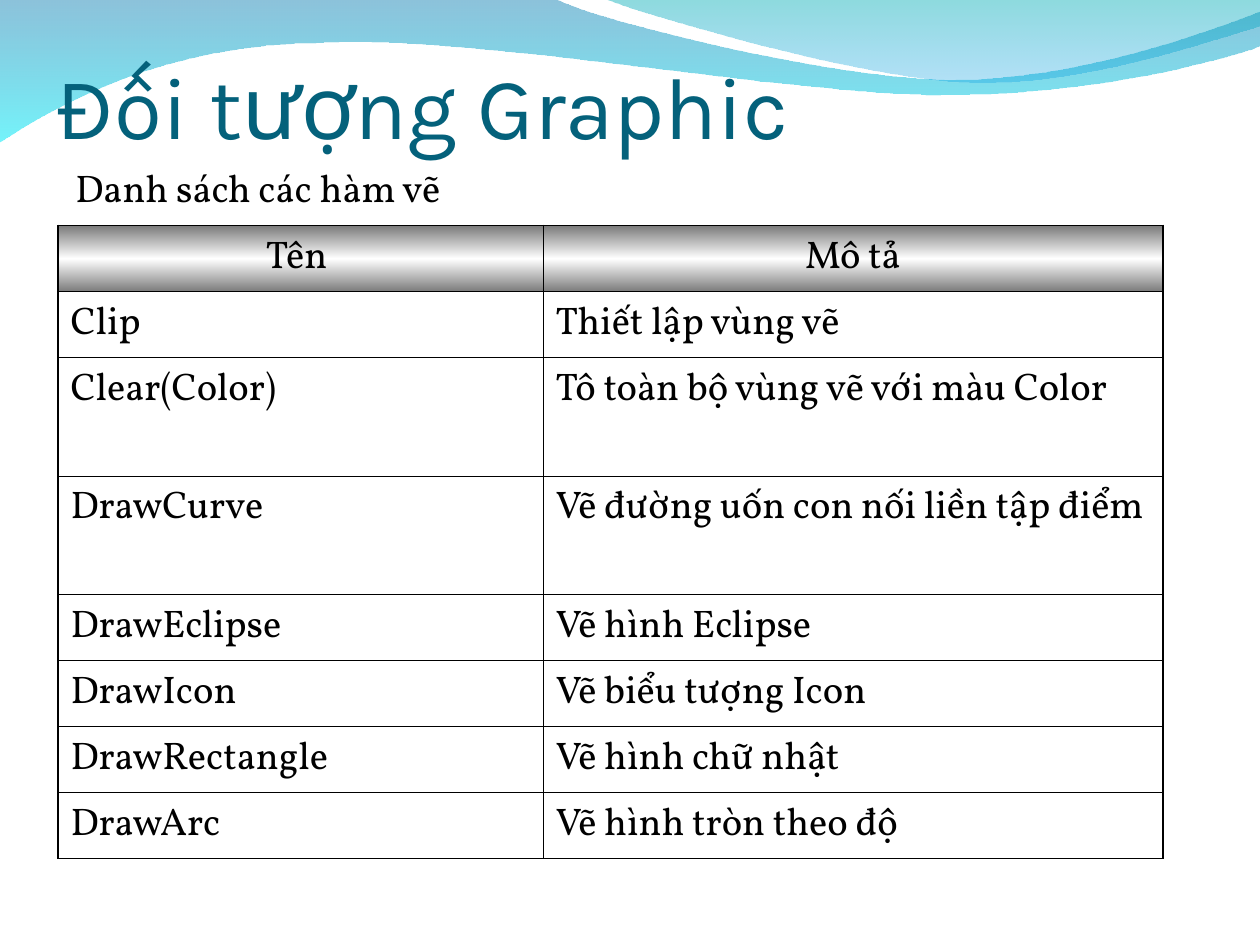
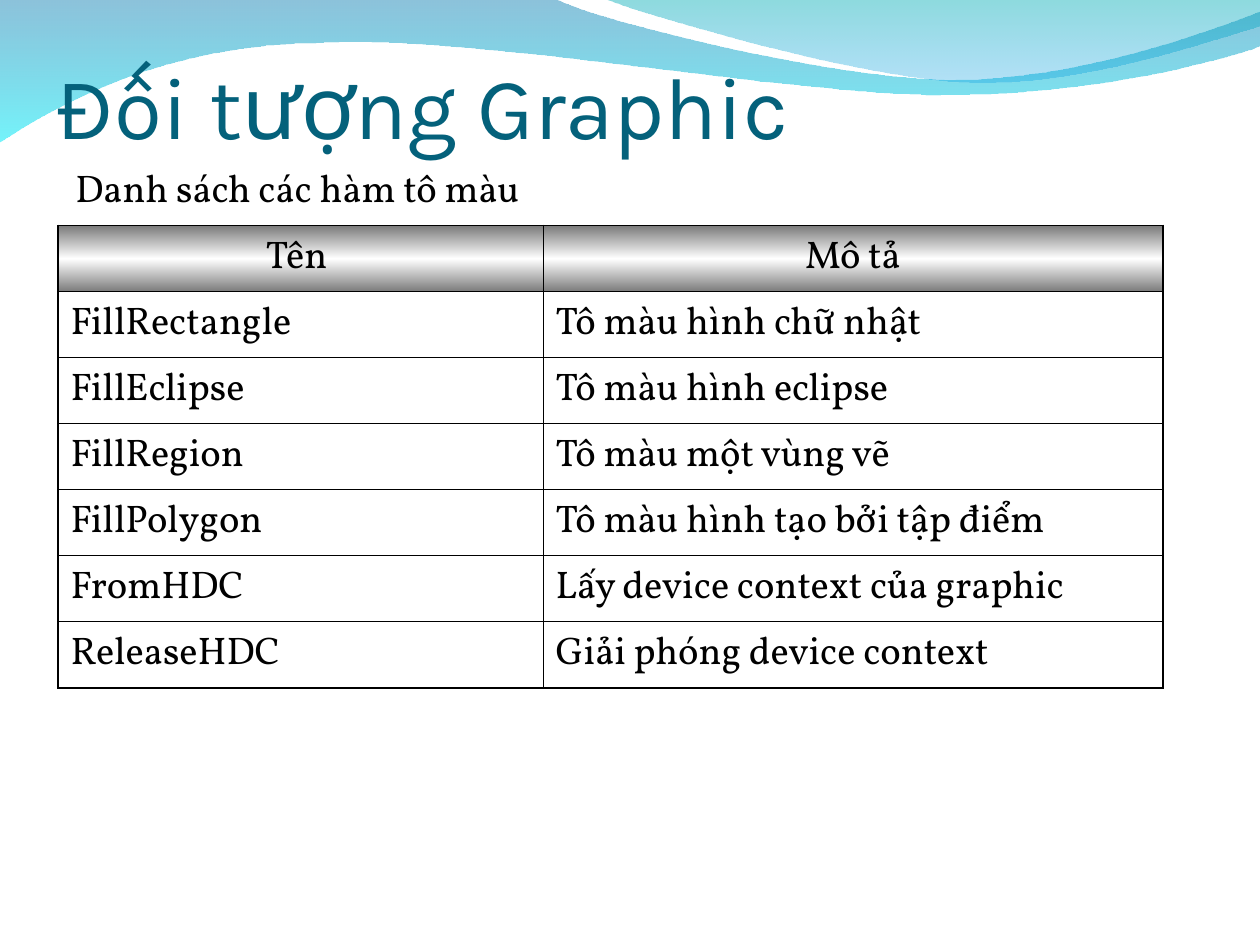
from lxml import etree
from pptx import Presentation
from pptx.dml.color import RGBColor
from pptx.enum.text import MSO_ANCHOR, MSO_AUTO_SIZE, PP_ALIGN
from pptx.oxml.ns import qn
from pptx.util import Inches, Pt

LEFT, CENTER = PP_ALIGN.LEFT, PP_ALIGN.CENTER
TOP, BOTTOM = MSO_ANCHOR.TOP, MSO_ANCHOR.BOTTOM
NO_FIT = MSO_AUTO_SIZE.NONE

TITLE = "Đối tượng Graphic"
HEADER = ("Tên ", "Mô tả")
SLIDES = [
    ("Danh sách các hàm vẽ", [
        ("Clip", "Thiết lập vùng vẽ"),
        ("Clear(Color)", "Tô toàn bộ vùng vẽ với màu Color"),
        ("DrawCurve", "Vẽ đường uốn con nối liền tập điểm"),
        ("DrawEclipse", "Vẽ hình Eclipse"),
        ("DrawIcon", "Vẽ biểu tượng Icon"),
        ("DrawRectangle", "Vẽ hình chữ nhật"),
        ("DrawArc", "Vẽ hình tròn theo độ"),
    ]),
    ("Danh sách các hàm tô màu", [
        ("FillRectangle", "Tô màu hình chữ nhật"),
        ("FillEclipse", "Tô màu hình eclipse"),
        ("FillRegion", "Tô màu một vùng vẽ"),
        ("FillPolygon", "Tô màu hình tạo bởi tập điểm"),
        ("FromHDC", "Lấy device context của graphic"),
        ("ReleaseHDC", "Giải phóng device context"),
    ]),
]
TALL_ROWS = {"Clear(Color)", "DrawCurve"}
ROW_HEIGHT, TALL_HEIGHT = 3.67 / 7, 0.94  # seven plain rows fill 3.67 inches
COLUMN_WIDTHS = (3.85, 4.92)
THIN, THICK = 0.45, 1.08

COLORS = {
    "title": "04617B", "text": "000000", "border": "000000",
    "header_edge": "7B7B7B", "header_middle": "FFFFFF",
    "wave_blue": "0079AF", "wave_cyan": "00EBF8",
    "crest_teal": "00ADB6", "crest_blue": "009BE5",
}
TITLE_FONT, BODY_FONT = "Karla", "Vollkorn"

# Gradient stops: position %, colour, opacity %
HEADER_STOPS = [(0, "header_edge", 100), (50, "header_middle", 100), (100, "header_edge", 100)]
# Each segment is a line (one point) or a cubic curve (three points)
WAVES = [
    ([(0, "wave_blue", 45), (100, "wave_cyan", 55)], (0, -0.01), [
        [(4.4, -0.01)],
        [(4.76, 0.17), (6.64, 0.63), (7.58, 0.63)],
        [(8.53, 0.63), (9.58, 0.26), (10, 0.09)],
        [(10.01, 0.36)],
        [(9.83, 0.44), (8.7, 0.76), (7.46, 0.75)],
        [(6.22, 0.75), (3.82, 0.28), (2.57, 0.34)],
        [(1.29, 0.35), (0.46, 0.83), (-0.01, 1.13)],
    ]),
    ([(0, "crest_teal", 45), (100, "crest_blue", 30)], (4.79, -0.01), [
        [(5.09, 0.11), (6.82, 0.62), (7.69, 0.65)],
        [(8.56, 0.69), (9.61, 0.32), (10, 0.21)],
        [(10, 0)],
    ]),
]


def fill_gradient(fill, element, stops):
    """Give a shape or cell a top-to-bottom gradient."""
    fill.gradient()
    fill.gradient_angle = 270
    stop_list = element.find(".//" + qn("a:gsLst"))
    for old_stop in list(stop_list):
        stop_list.remove(old_stop)
    for position, color, opacity in stops:
        stop = etree.SubElement(stop_list, qn("a:gs"), pos=str(position * 1000))
        value = etree.SubElement(stop, qn("a:srgbClr"), val=COLORS[color])
        if opacity < 100:
            etree.SubElement(value, qn("a:alpha"), val=str(opacity * 1000))


def bend_segments(wave, segments):
    """Turn each run of three line points into one cubic curve."""
    lines = iter(wave.element.findall(".//" + qn("a:lnTo")))
    for segment in segments:
        parts = [next(lines) for _ in segment]
        if len(parts) == 3:
            curve = etree.Element(qn("a:cubicBezTo"))
            parts[0].addprevious(curve)
            for part in parts:
                curve.append(part[0])
                part.getparent().remove(part)


def add_waves(slide, layout):
    """Build the waves on a slide and move them to the back of its layout."""
    for index, (stops, start, segments) in enumerate(WAVES):
        outline = [start, *(point for segment in segments for point in segment)]
        points = [(Inches(x), Inches(y)) for x, y in outline]
        builder = slide.shapes.build_freeform(*points[0])
        builder.add_line_segments(points[1:], close=True)
        wave = builder.convert_to_shape()
        bend_segments(wave, segments)
        wave.name = f"Wave {index + 1}"
        wave.shadow.inherit = False
        wave.line.fill.background()
        fill_gradient(wave.fill, wave.element, stops)
        layout.shapes.element.insert(2 + index, wave.element)


def write(frame, text, font, size, color, align=LEFT):
    frame.text = text
    para = frame.paragraphs[0]
    para.alignment = align
    span = para.runs[0].font
    span.name, span.size = font, Pt(size)
    span.color.rgb = RGBColor.from_string(COLORS[color])


def set_borders(cell, widths):
    """Draw the sides of a cell; widths run left, right, top, bottom."""
    properties = cell._tc.get_or_add_tcPr()
    for index, (side, width) in enumerate(zip("LRTB", widths)):
        line = etree.Element(qn(f"a:ln{side}"), w=str(Pt(width)))
        solid = etree.SubElement(line, qn("a:solidFill"))
        etree.SubElement(solid, qn("a:srgbClr"), val=COLORS["border"])
        properties.insert(index, line)


def add_function_table(slide, functions):
    rows = [HEADER, *functions]
    heights = [TALL_HEIGHT if row[0] in TALL_ROWS else ROW_HEIGHT for row in rows]
    table = slide.shapes.add_table(
        len(rows), len(HEADER), Inches(0.46), Inches(1.79),
        Inches(sum(COLUMN_WIDTHS)), Inches(sum(heights))).table
    table.first_row = table.horz_banding = False
    for column, width in zip(table.columns, COLUMN_WIDTHS):
        column.width = Inches(width)
    last_row, last_column = len(rows) - 1, len(HEADER) - 1
    for r, row in enumerate(rows):
        table.rows[r].height = Inches(heights[r])
        for c, text in enumerate(row):
            cell = table.cell(r, c)
            write(cell.text_frame, text, BODY_FONT, 22, "text", CENTER if r == 0 else LEFT)
            if r == 0:
                fill_gradient(cell.fill, cell._tc, HEADER_STOPS)
            else:
                cell.fill.background()
            outer_sides = (c == 0, c == last_column, r == 0, r == last_row)
            set_borders(cell, [THICK if outer else THIN for outer in outer_sides])


def add_headings(slide, subtitle):
    title = slide.shapes.title
    title.left, title.top = Inches(0.45), Inches(0)
    title.width, title.height = Inches(9), Inches(1.25)
    frame = title.text_frame
    frame.margin_left = frame.margin_right = frame.margin_bottom = 0
    frame.margin_top = Inches(0.05)
    frame.vertical_anchor, frame.auto_size = BOTTOM, NO_FIT
    write(frame, TITLE, TITLE_FONT, 50, "title")

    box = slide.shapes.add_textbox(Inches(0.5), Inches(1.25), Inches(4.42), Inches(4.8))
    box.text_frame.word_wrap = True
    box.text_frame.vertical_anchor = TOP
    write(box.text_frame, subtitle, BODY_FONT, 22, "text")


def main():
    deck = Presentation()
    deck.slide_width, deck.slide_height = Inches(10), Inches(7.5)
    layout = deck.slide_layouts.get_by_name("Title Only")
    for number, (subtitle, functions) in enumerate(SLIDES):
        slide = deck.slides.add_slide(layout)
        if number == 0:
            add_waves(slide, layout)
        add_headings(slide, subtitle)
        add_function_table(slide, functions)
    deck.save("out.pptx")


if __name__ == "__main__":
    main()
